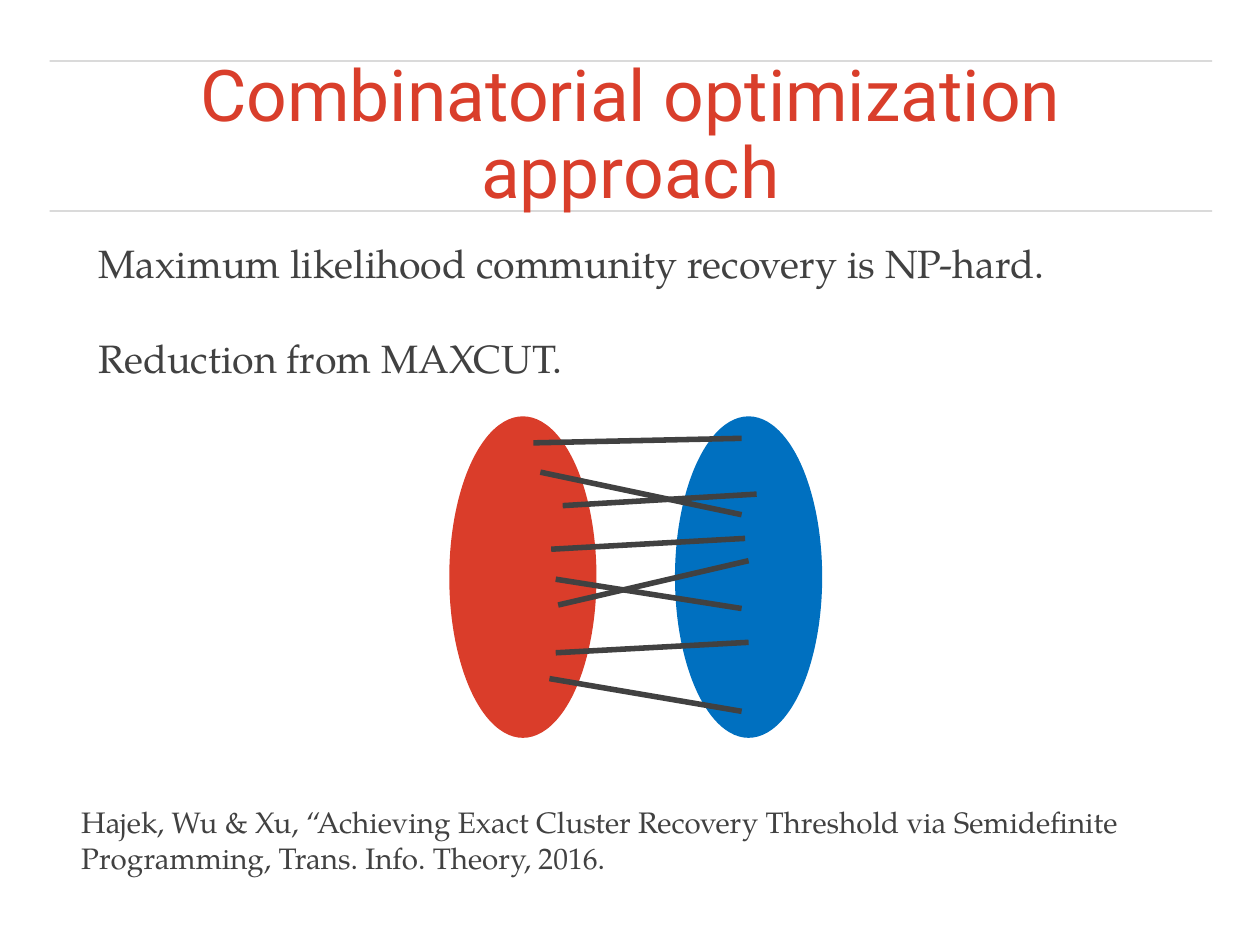
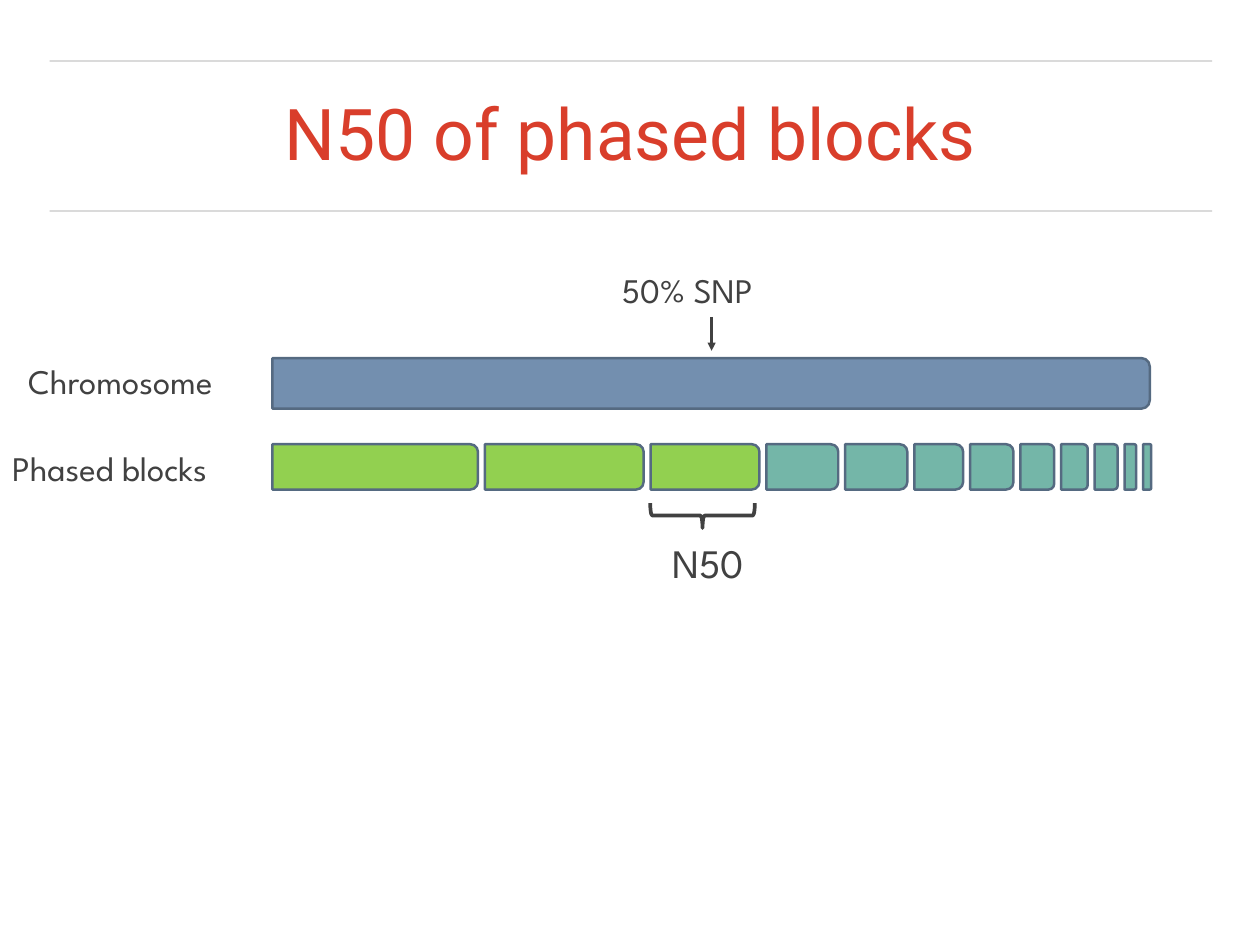
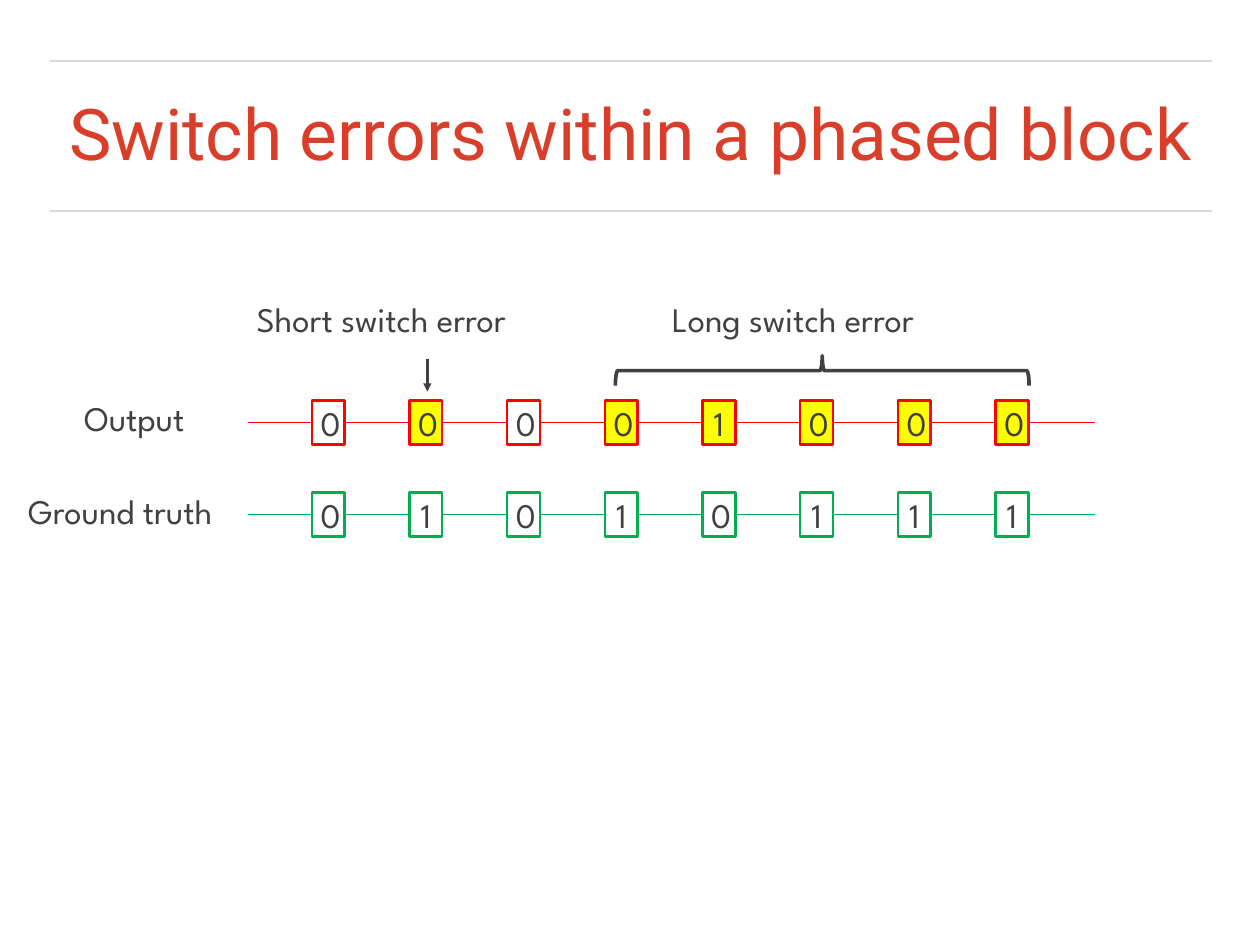
from dataclasses import dataclass
from typing import Optional

from lxml import etree
from pptx import Presentation
from pptx.dml.color import RGBColor
from pptx.enum.shapes import MSO_CONNECTOR, MSO_SHAPE
from pptx.enum.text import MSO_ANCHOR, MSO_AUTO_SIZE, PP_ALIGN
from pptx.oxml.ns import qn
from pptx.presentation import Presentation as Deck
from pptx.shapes.autoshape import Shape
from pptx.shapes.connector import Connector
from pptx.slide import Slide
from pptx.text.text import TextFrame
from pptx.util import Cm, Pt

STRAIGHT = MSO_CONNECTOR.STRAIGHT
OVAL = MSO_SHAPE.OVAL
RECTANGLE = MSO_SHAPE.RECTANGLE
ROUNDED_END = MSO_SHAPE.ROUND_2_SAME_RECTANGLE
BRACE = MSO_SHAPE.LEFT_BRACE
MIDDLE = MSO_ANCHOR.MIDDLE
TOP = MSO_ANCHOR.TOP
NO_AUTOFIT = MSO_AUTO_SIZE.NONE
LEFT = PP_ALIGN.LEFT
CENTER = PP_ALIGN.CENTER

TITLE_RED = RGBColor(0xD9, 0x3E, 0x2B)
INK = RGBColor(0x41, 0x41, 0x41)
RULE_GREY = RGBColor(0x44, 0x44, 0x44)
COMMUNITY_RED = RGBColor(0xDA, 0x3D, 0x2A)
COMMUNITY_BLUE = RGBColor(0x00, 0x70, 0xC0)
CHROMOSOME_BLUE = RGBColor(0x73, 0x8F, 0xAF)
BLOCK_EDGE = RGBColor(0x55, 0x6A, 0x81)
BLOCK_GREEN = RGBColor(0x92, 0xD0, 0x50)
BLOCK_TEAL = RGBColor(0x74, 0xB6, 0xA8)
OUTPUT_RED = RGBColor(0xFF, 0x00, 0x00)
TRUTH_GREEN = RGBColor(0x00, 0xB0, 0x50)
ERROR_YELLOW = RGBColor(0xFF, 0xFF, 0x00)
WHITE = RGBColor(0xFF, 0xFF, 0xFF)

TITLE_FONT = "Roboto"
SERIF_FONT = "TeX Gyre Pagella"
LABEL_FONT = "League Spartan"

TITLE_AND_CONTENT = 1
TITLE_ONLY = 5
LEFT_SIDE = 1
RIGHT_SIDE = 3
RULE_IDS = (101, 102)


@dataclass(frozen=True)
class Box:
    left: float
    top: float
    width: float
    height: float


@dataclass(frozen=True)
class Segment:
    x1: float
    y1: float
    x2: float
    y2: float


@dataclass(frozen=True)
class Label:
    text: str
    box: Box
    size: float = 28
    font: str = LABEL_FONT


@dataclass(frozen=True)
class AlleleRow:
    alleles: str
    errors: frozenset[int]
    top: float
    color: RGBColor


RULES = (Segment(1.42, 6.05, 34.75, 6.05), Segment(1.42, 1.75, 34.75, 1.75))
TITLE_BOX = Box(1.42, 2.24, 33.3, 3.38)

STATEMENTS = (
    "Maximum likelihood community recovery is NP-hard.",
    "Reduction from MAXCUT.",
)
STATEMENTS_BOX = Box(2.67, 6.7, 28.5, 4.4)
CITATION = Label(
    "Hajek, Wu & Xu, “Achieving Exact Cluster Recovery Threshold via "
    "Semidefinite Programming, Trans. Info. Theory, 2016.",
    Box(2.08, 22.94, 33.38, 2.31), 24, SERIF_FONT,
)
COMMUNITIES = (
    (Box(19.35, 11.94, 4.22, 9.22), COMMUNITY_BLUE),
    (Box(12.88, 11.94, 4.22, 9.22), COMMUNITY_RED),
)
CUT_EDGES = (
    Segment(21.26, 12.57, 15.29, 12.7),
    Segment(21.26, 14.76, 15.49, 13.54),
    Segment(21.69, 14.17, 16.13, 14.5),
    Segment(21.36, 15.44, 15.8, 15.75),
    Segment(21.46, 16.08, 16, 17.35),
    Segment(21.26, 17.45, 15.93, 16.61),
    Segment(21.46, 18.42, 15.93, 18.72),
    Segment(21.26, 20.4, 15.75, 19.46),
)

CHROMOSOME = Box(7.81, 10.27, 25.15, 1.45)
BLOCK_WIDTHS = (5.89, 4.55, 3.12, 2.06, 1.78, 1.4, 1.24, 0.97, 0.76, 0.66, 0.33, 0.23)
BLOCK_TOP = 12.74
BLOCK_HEIGHT = 1.3
BLOCK_GAP = 0.2
BLOCKS_TO_HALF = 3
N50_LABELS = (
    Label("50% SNP", Box(17.58, 7.59, 5.41, 1.45)),
    Label("Chromosome", Box(0.56, 10.19, 8.08, 1.45)),
    Label("Phased blocks", Box(0.1, 12.7, 8.08, 1.45)),
    Label("N50", Box(19.02, 15.32, 3.61, 1.65), 32.8),
)

ALLELE_LEFT = 8.94
ALLELE_PITCH = 2.8
ALLELE_WIDTH = 0.94
ALLELE_HEIGHT = 1.27
STRAND_START = 7.11
STRAND_END = 31.4
ALLELE_ROWS = (
    AlleleRow("00001000", frozenset({1, 3, 4, 5, 6, 7}), 11.48, OUTPUT_RED),
    AlleleRow("01010111", frozenset(), 14.12, TRUTH_GREEN),
)
SWITCH_LABELS = (
    Label("Output", Box(2.16, 11.25, 5.11, 1.45)),
    Label("Ground truth", Box(0.56, 13.92, 7.42, 1.45)),
    Label("Short switch error", Box(7.11, 8.43, 10.21, 1.45)),
    Label("Long switch error", Box(19.02, 8.43, 11.2, 1.45)),
)


def write_text(
    frame: TextFrame,
    *lines: str,
    font: str = LABEL_FONT,
    size: float = 28,
    color: RGBColor = INK,
    align: PP_ALIGN = LEFT,
    anchor: MSO_ANCHOR = TOP,
    inset: Optional[float] = None,
    line_spacing: float = 1,
    space_before: float = 0,
    paragraph_gap: float = 0,
) -> None:
    frame.word_wrap = True
    frame.auto_size = NO_AUTOFIT
    frame.vertical_anchor = anchor
    if inset is not None:
        frame.margin_left = frame.margin_right = Cm(inset)
        frame.margin_top = frame.margin_bottom = Cm(inset)
    for index, line in enumerate(lines):
        paragraph = frame.add_paragraph() if index else frame.paragraphs[0]
        paragraph.alignment = align
        paragraph.line_spacing = line_spacing
        paragraph.space_before = Pt(paragraph_gap if index else space_before)
        run = paragraph.add_run()
        run.text = line
        run.font.name = font
        run.font.size = Pt(size)
        run.font.color.rgb = color


def place(shape: Shape, box: Box) -> None:
    shape.left, shape.top = Cm(box.left), Cm(box.top)
    shape.width, shape.height = Cm(box.width), Cm(box.height)


def add_label(slide: Slide, label: Label) -> None:
    box = label.box
    textbox = slide.shapes.add_textbox(
        Cm(box.left), Cm(box.top), Cm(box.width), Cm(box.height)
    )
    write_text(textbox.text_frame, label.text, font=label.font, size=label.size)


def add_figure(
    slide: Slide,
    kind: MSO_SHAPE,
    box: Box,
    fill: Optional[RGBColor] = None,
    edge: Optional[RGBColor] = None,
    edge_width: float = 2,
) -> Shape:
    figure = slide.shapes.add_shape(
        kind, Cm(box.left), Cm(box.top), Cm(box.width), Cm(box.height)
    )
    figure.shadow.inherit = False
    if fill is None:
        figure.fill.background()
    else:
        figure.fill.solid()
        figure.fill.fore_color.rgb = fill
    if edge is None:
        figure.line.fill.background()
    else:
        figure.line.color.rgb = edge
        figure.line.width = Pt(edge_width)
    return figure


def quarter_turn(box: Box) -> Box:
    shift = (box.width - box.height) / 2
    return Box(box.left + shift, box.top - shift, box.height, box.width)


def add_bar(slide: Slide, box: Box, fill: RGBColor) -> None:
    add_figure(slide, ROUNDED_END, quarter_turn(box), fill, BLOCK_EDGE).rotation = 90


def add_brace(slide: Slide, box: Box, rotation: int) -> None:
    brace = add_figure(slide, BRACE, quarter_turn(box), edge=INK, edge_width=3)
    brace.rotation = rotation


def add_line(
    slide: Slide,
    segment: Segment,
    width: float,
    color: RGBColor = INK,
    arrow: bool = False,
    opacity: Optional[int] = None,
) -> Connector:
    line = slide.shapes.add_connector(
        STRAIGHT, Cm(segment.x1), Cm(segment.y1), Cm(segment.x2), Cm(segment.y2)
    )
    line.line.color.rgb = color
    line.line.width = Pt(width)
    properties = line.element.spPr
    outline = properties.find(qn("a:ln"))
    if opacity is not None:
        alpha = etree.SubElement(outline.find(".//" + qn("a:srgbClr")), qn("a:alpha"))
        alpha.set("val", str(opacity * 1000))
    if arrow:
        etree.SubElement(outline, qn("a:tailEnd")).set("type", "triangle")
    etree.SubElement(properties, qn("a:effectLst"))
    return line


def add_titled_slide(deck: Deck, layout: int, title: str) -> Slide:
    slide = deck.slides.add_slide(deck.slide_layouts[layout])
    place(slide.shapes.title, TITLE_BOX)
    write_text(
        slide.shapes.title.text_frame, title, font=TITLE_FONT, size=58,
        color=TITLE_RED, align=CENTER, anchor=MIDDLE, inset=0.16,
        line_spacing=0.9, space_before=16,
    )
    return slide


def move_rules_to_master(deck: Deck, slide: Slide) -> None:
    for rule_id, segment in zip(RULE_IDS, RULES):
        rule = add_line(slide, segment, 1, RULE_GREY, opacity=30).element
        rule.nvCxnSpPr.cNvPr.set("id", str(rule_id))
        deck.slide_master.shapes.element.append(rule)


def build_optimization(deck: Deck) -> None:
    slide = add_titled_slide(
        deck, TITLE_AND_CONTENT, "Combinatorial optimization approach"
    )
    move_rules_to_master(deck, slide)
    body = slide.placeholders[1]
    place(body, STATEMENTS_BOX)
    write_text(
        body.text_frame, *STATEMENTS, font=SERIF_FONT, size=32,
        anchor=MIDDLE, inset=0.16, paragraph_gap=39,
    )
    for paragraph in body.text_frame.paragraphs:
        properties = paragraph.runs[0].font and paragraph._p.get_or_add_pPr()
        properties.set("marL", "0")
        properties.set("indent", "0")
        etree.SubElement(properties, qn("a:buNone"))
    add_label(slide, CITATION)
    for box, color in COMMUNITIES:
        add_figure(slide, OVAL, box, color)
    for segment in CUT_EDGES:
        add_line(slide, segment, 4.5)


def build_phased_blocks(deck: Deck) -> None:
    slide = add_titled_slide(deck, TITLE_ONLY, "N50 of phased blocks")
    add_bar(slide, CHROMOSOME, CHROMOSOME_BLUE)
    left = CHROMOSOME.left
    for index, width in enumerate(BLOCK_WIDTHS):
        color = BLOCK_GREEN if index < BLOCKS_TO_HALF else BLOCK_TEAL
        add_bar(slide, Box(left, BLOCK_TOP, width, BLOCK_HEIGHT), color)
        left += width + BLOCK_GAP
    add_line(slide, Segment(20.4, 9.09, 20.4, 10.06), 2.25, arrow=True)
    add_brace(slide, Box(18.64, 14.43, 3, 0.71), 270)
    for label in N50_LABELS:
        add_label(slide, label)


def add_allele_row(slide: Slide, row: AlleleRow) -> None:
    middle = row.top + ALLELE_HEIGHT / 2
    previous: Optional[Shape] = None
    for index, allele in enumerate(row.alleles):
        left = ALLELE_LEFT + index * ALLELE_PITCH
        site = add_figure(
            slide, RECTANGLE, Box(left, row.top, ALLELE_WIDTH, ALLELE_HEIGHT),
            ERROR_YELLOW if index in row.errors else WHITE, row.color,
        )
        write_text(site.text_frame, allele, align=CENTER, anchor=MIDDLE)
        start = left - ALLELE_PITCH + ALLELE_WIDTH if previous else STRAND_START
        strand = add_line(slide, Segment(start, middle, left, middle), 0.75, row.color)
        if previous:
            strand.begin_connect(previous, RIGHT_SIDE)
        strand.end_connect(site, LEFT_SIDE)
        previous = site
    tail = add_line(
        slide, Segment(left + ALLELE_WIDTH, middle, STRAND_END, middle), 0.75, row.color
    )
    tail.begin_connect(previous, RIGHT_SIDE)


def build_switch_errors(deck: Deck) -> None:
    slide = add_titled_slide(deck, TITLE_ONLY, "Switch errors within a phased block")
    for row in ALLELE_ROWS:
        add_allele_row(slide, row)
    for label in SWITCH_LABELS:
        add_label(slide, label)
    add_line(slide, Segment(12.25, 10.29, 12.25, 11.23), 2.25, arrow=True)
    add_brace(slide, Box(17.64, 10.2, 11.86, 0.86), 90)


def main() -> None:
    deck = Presentation()
    deck.slide_width, deck.slide_height = Cm(36.12), Cm(27.1)
    build_optimization(deck)
    build_phased_blocks(deck)
    build_switch_errors(deck)
    deck.save("out.pptx")


if __name__ == "__main__":
    main()
